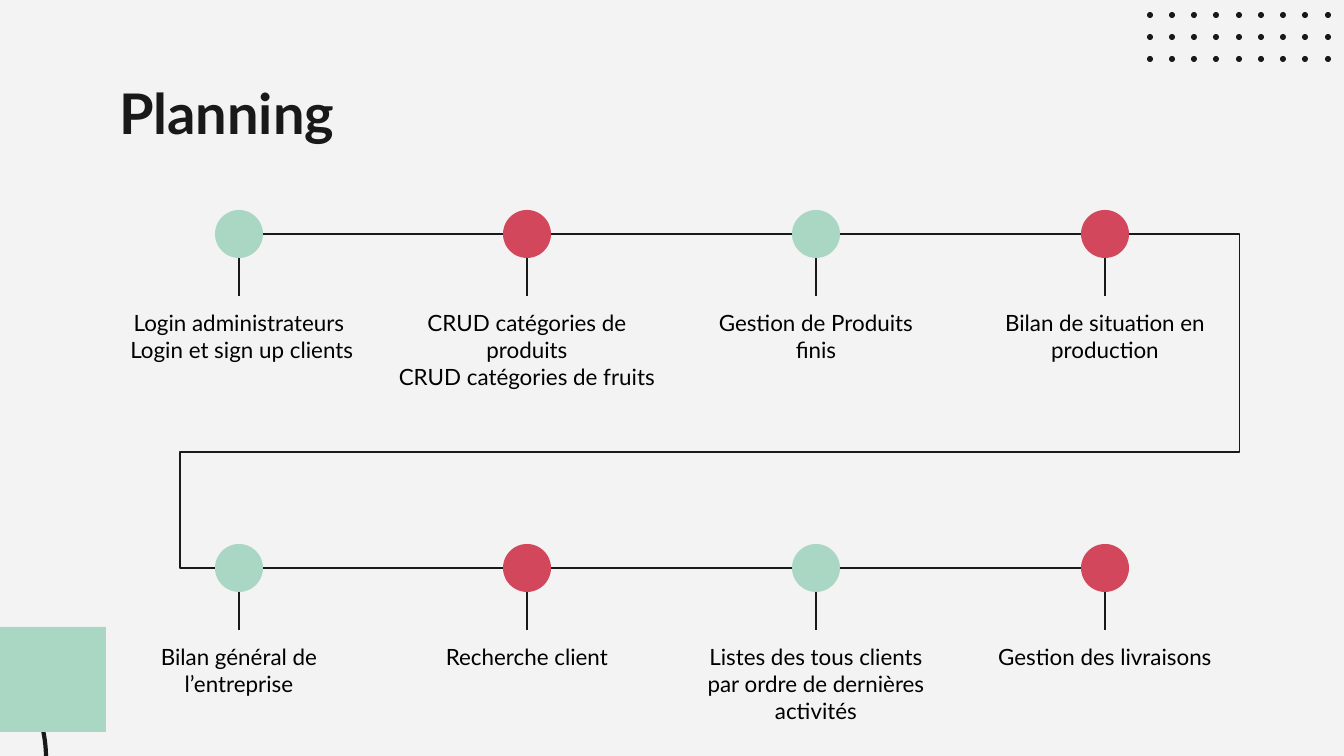
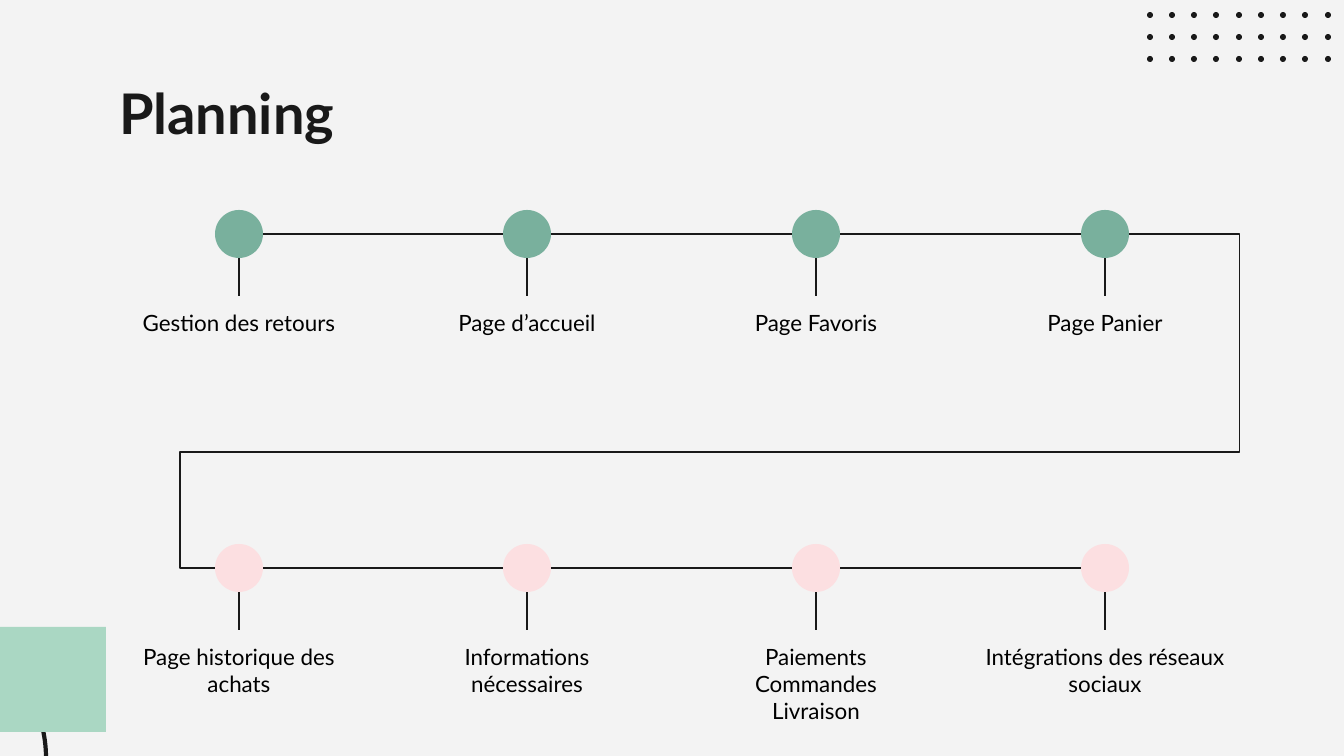
import lxml.etree
import pptx
import pptx.dml.color
import pptx.enum.shapes
import pptx.enum.text
import pptx.oxml.ns
import pptx.util

PX = 914400 / 134.4
FONT = "Lato"
INK, BLACK, PAPER = "191919", "000000", "F3F3F3"
MINT, RED, GREEN, PINK = "AAD7C3", "D2475C", "79B09D", "FCDFE1"

NODE_CENTRES = [239 + column * 866 // 3 for column in range(4)]
ROW_CENTRES = (234, 568)
RADIUS = 24
LABEL_DROP = 62
LABEL_WIDTH, WIDE_LABEL = 266, 294
LOOP_RIGHT, LOOP_MIDDLE, LOOP_LEFT = 1240, 452, 180

SHAPES = pptx.enum.shapes.MSO_SHAPE
CONNECTORS = pptx.enum.shapes.MSO_CONNECTOR
ALIGN = pptx.enum.text.PP_ALIGN

# Each slide holds two rows; a row holds its node colours and its labels.
PLANNING = [
    [
        ([MINT, RED, MINT, RED], [
            "Login administrateurs\n Login et sign up clients",
            "CRUD catégories de produits\nCRUD catégories de fruits",
            "Gestion de Produits finis",
            "Bilan de situation en production"]),
        ([MINT, RED, MINT, RED], [
            "Bilan général de l’entreprise",
            "Recherche client",
            "Listes des tous clients par ordre de dernières activités",
            "Gestion des livraisons"]),
    ],
    [
        ([GREEN] * 4, [
            "Gestion des retours", "Page d’accueil", "Page Favoris", "Page Panier"]),
        ([PINK] * 4, [
            "Page historique des achats",
            "Informations nécessaires",
            "Paiements\nCommandes\nLivraison",
            "Intégrations des réseaux sociaux"]),
    ],
]


def px(*lengths):
    return [pptx.util.Emu(round(length * PX)) for length in lengths]


def rgb(colour):
    return pptx.dml.color.RGBColor.from_string(colour)


class PlanningDeck:
    def __init__(self):
        self.deck = pptx.Presentation()
        self.deck.slide_width, self.deck.slide_height = px(1344, 756)
        background = self.deck.slide_master.background.fill
        background.solid()
        background.fore_color.rgb = rgb(PAPER)
        self.page = None

    def add_page(self, title):
        self.page = self.deck.slides.add_slide(self.deck.slide_layouts[5])
        self.decorate()
        box = self.page.shapes.title
        box.left, box.top, box.width, box.height = px(106, 66, 1132, 84)
        self.set_text(box, title, 30, INK, ALIGN.LEFT, bold=True)

    def decorate(self):
        """Draw the dot grid and the corner motif that every slide carries."""
        for column in range(9):
            for row in range(3):
                self.shape(SHAPES.OVAL, 1147 + column * 178 // 8,
                           12 + row * 178 // 8, 6, 6, fill=INK)
        self.shape(SHAPES.OVAL, -223, 624, 269, 269, line=INK)
        self.shape(SHAPES.RECTANGLE, -56, 627, 162, 105, fill=MINT)

    def set_text(self, box, text, size, colour, align, bold=False):
        frame = box.text_frame
        frame.text = text
        frame.word_wrap = True
        frame.auto_size = pptx.enum.text.MSO_AUTO_SIZE.NONE
        frame.vertical_anchor = pptx.enum.text.MSO_ANCHOR.TOP
        (frame.margin_left, frame.margin_right,
         frame.margin_top, frame.margin_bottom) = px(13, 13, 13, 13)
        for para in frame.paragraphs:
            para.alignment = align
            for span in para.runs:
                span.font.name = FONT
                span.font.size = pptx.util.Pt(size)
                span.font.bold = bold
                span.font.color.rgb = rgb(colour)

    def label(self, centre, top, text, width):
        box = self.page.shapes.add_textbox(*px(centre - width // 2, top, width, 47))
        self.set_text(box, text, 12, BLACK, ALIGN.CENTER)

    def shape(self, kind, left, top, width, height, fill=None, line=None):
        shape = self.page.shapes.add_shape(kind, *px(left, top, width, height))
        shape.shadow.inherit = False
        if fill:
            shape.fill.solid()
            shape.fill.fore_color.rgb = rgb(fill)
        else:
            shape.fill.background()
        if line:
            shape.line.color.rgb = rgb(line)
            shape.line.width = pptx.util.Pt(2.25)
        else:
            shape.line.fill.background()

    def line(self, x1, y1, x2, y2, kind=CONNECTORS.STRAIGHT):
        connector = self.page.shapes.add_connector(kind, *px(x1, y1, x2, y2))
        connector.line.color.rgb = rgb(INK)
        connector.line.width = pptx.util.Pt(0.75)
        lxml.etree.SubElement(connector.element.spPr, pptx.oxml.ns.qn("a:effectLst"))
        return connector

    def loop(self):
        """Lead from the end of the first row round to the start of the second."""
        start, end = NODE_CENTRES[-1] + RADIUS, NODE_CENTRES[0] - RADIUS
        top, bottom = ROW_CENTRES
        connector = self.line(start, top, end, bottom, CONNECTORS.ELBOW)
        qn = pptx.oxml.ns.qn
        geometry = connector.element.spPr.find(qn("a:prstGeom"))
        geometry.set("prst", "bentConnector5")
        guides = geometry.find(qn("a:avLst"))
        if guides is None:
            guides = lxml.etree.SubElement(geometry, qn("a:avLst"))
        bends = ((start - LOOP_RIGHT) / (start - end),
                 (LOOP_MIDDLE - top) / (bottom - top),
                 (start - LOOP_LEFT) / (start - end))
        for number, bend in enumerate(bends, 1):
            lxml.etree.SubElement(guides, qn("a:gd"), name=f"adj{number}",
                                  fmla=f"val {round(bend * 100000)}")

    def row(self, middle, colours, labels):
        for left, right in zip(NODE_CENTRES, NODE_CENTRES[1:]):
            self.line(left + RADIUS, middle, right - RADIUS, middle)
        for centre, colour, text in zip(NODE_CENTRES, colours, labels):
            self.line(centre, middle + RADIUS, centre, middle + LABEL_DROP)
            self.shape(SHAPES.OVAL, centre - RADIUS, middle - RADIUS,
                       2 * RADIUS, 2 * RADIUS, fill=colour)
            width = WIDE_LABEL if text.startswith("CRUD") else LABEL_WIDTH
            self.label(centre, middle + LABEL_DROP, text, width)


def main():
    planning = PlanningDeck()
    for rows in PLANNING:
        planning.add_page("Planning")
        for middle, (colours, labels) in zip(ROW_CENTRES, rows):
            planning.row(middle, colours, labels)
        planning.loop()
    planning.deck.save("out.pptx")


if __name__ == "__main__":
    main()
